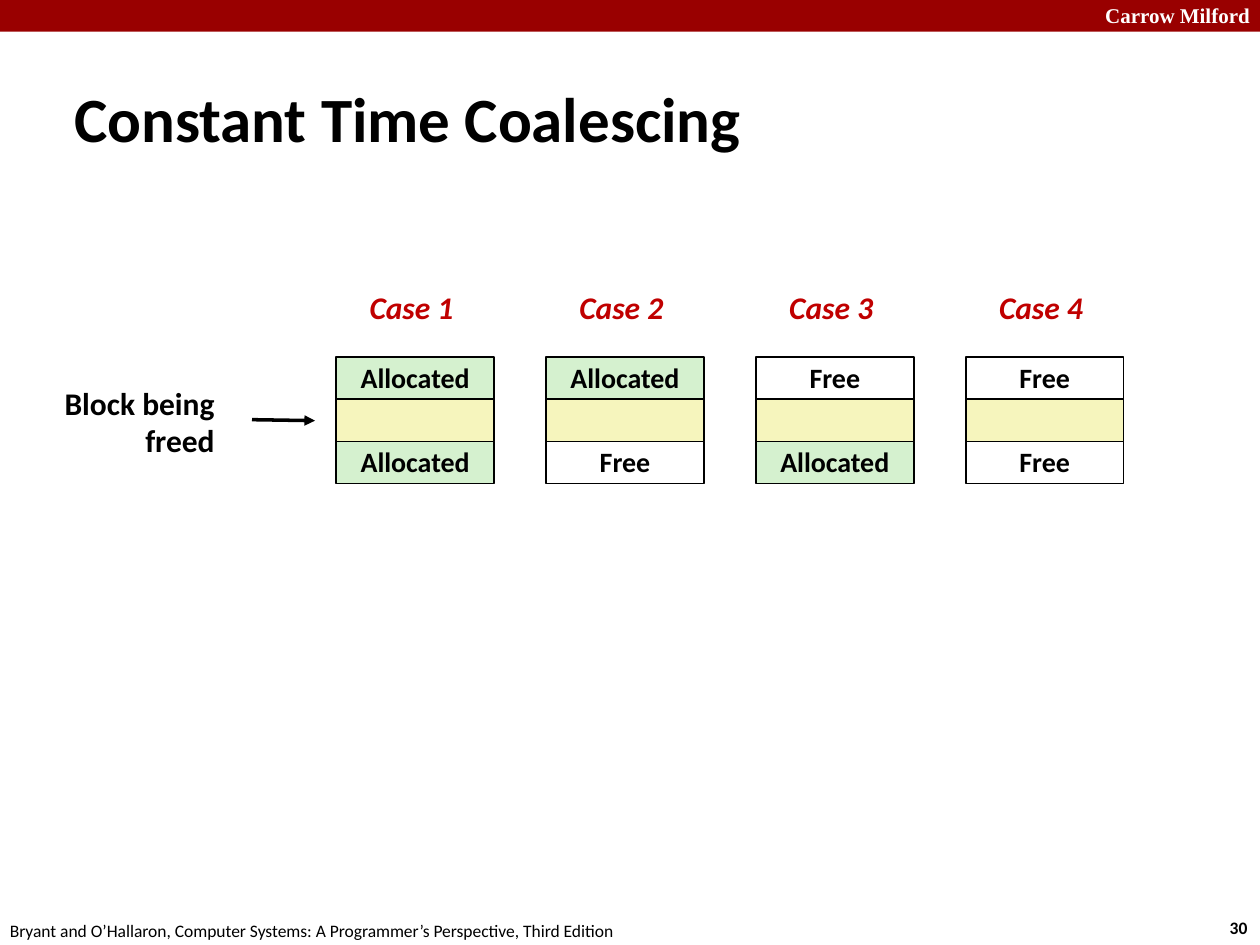
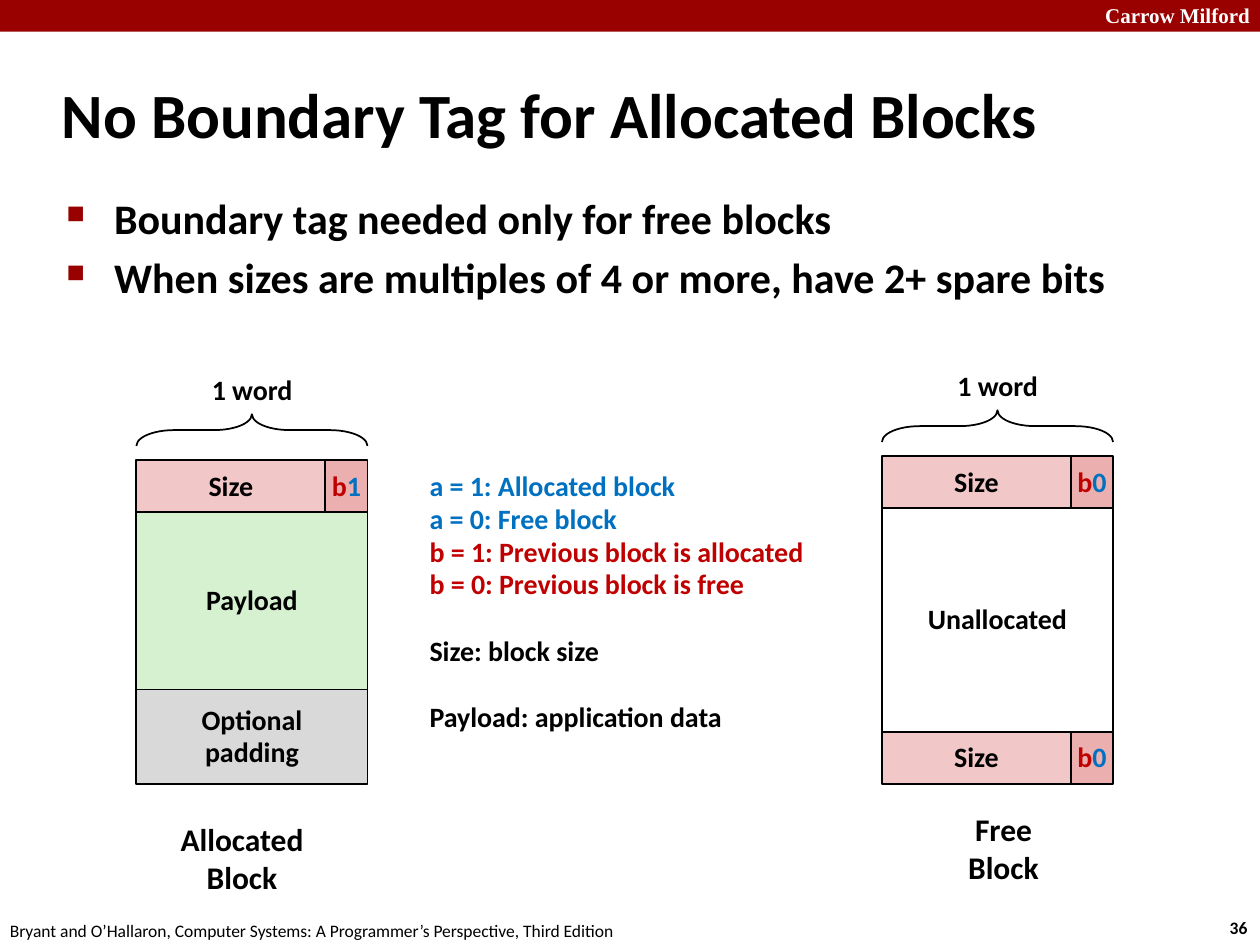
"""Builds two lecture slides on coalescing and boundary tags."""
from lxml.etree import SubElement
from pptx import Presentation
from pptx.dml.color import RGBColor
from pptx.enum.shapes import MSO_CONNECTOR, MSO_SHAPE
from pptx.enum.text import MSO_ANCHOR, MSO_AUTO_SIZE, PP_ALIGN
from pptx.oxml.ns import qn
from pptx.util import Cm, Pt

BLACK = RGBColor(0x00, 0x00, 0x00)
WHITE = RGBColor(0xFF, 0xFF, 0xFF)
CRIMSON = RGBColor(0x99, 0x00, 0x00)
RED = RGBColor(0xC0, 0x00, 0x00)
BLUE = RGBColor(0x00, 0x70, 0xC0)
GREEN = RGBColor(0xD5, 0xF1, 0xCF)
YELLOW = RGBColor(0xF6, 0xF5, 0xBD)
PINK = RGBColor(0xF1, 0xC7, 0xC7)
ROSE = RGBColor(0xEB, 0xAF, 0xAF)
GRAY = RGBColor(0xD9, 0xD9, 0xD9)

SCHOOL = "Carrow Milford"
BOOK = "Bryant and O’Hallaron, Computer Systems: A Programmer’s Perspective, Third Edition"
TIGHT = 0.98
SIZE_WIDTH, TAG_WIDTH, HEADER_HEIGHT = 3.81, 0.85, 1.06
WORD_WIDTH = SIZE_WIDTH + TAG_WIDTH


def write(frame, paragraphs, size=16, color=BLACK, font="Calibri", bold=True,
          italic=False, align=PP_ALIGN.LEFT, spacing=None, gaps=None):
    for index, content in enumerate(paragraphs):
        paragraph = frame.paragraphs[0] if index == 0 else frame.add_paragraph()
        paragraph.alignment = align
        paragraph.line_spacing = spacing
        if gaps and index in gaps:
            paragraph.space_before = Pt(gaps[index])
        runs = [(content, color)] if isinstance(content, str) else content
        for words, run_color in runs:
            run = paragraph.add_run()
            run.text = words
            run.font.name = font
            run.font.size = Pt(size)
            run.font.bold = bold
            run.font.italic = italic
            run.font.color.rgb = run_color


class Lecture:
    def __init__(self):
        self.deck = Presentation()
        self.deck.slide_width, self.deck.slide_height = Cm(25.4), Cm(19.05)
        self.shapes = None

    def slide(self, heading, number, left, top, width, height):
        self.shapes = self.deck.slides.add_slide(self.deck.slide_layouts[5]).shapes
        self.block(0, 0, 25.4, 0.64, CRIMSON, outline=None)
        self.label(21.95, -0.08, 3.5, 0.76, [SCHOOL], wrap=True, size=12, color=WHITE,
                   font="Times New Roman", align=PP_ALIGN.RIGHT)
        self.label(24.54, 18.36, 0.94, 0.69, [str(number)], size=10)
        self.label(-0.05, 18.42, 12.9, 0.69, [BOOK], size=10, bold=False)
        title = self.shapes.title
        title.left, title.top, title.width, title.height = map(Cm, (left, top, width, height))
        title.text_frame.auto_size = MSO_AUTO_SIZE.NONE
        title.text_frame.vertical_anchor = MSO_ANCHOR.MIDDLE
        write(title.text_frame, [heading], size=36)

    def label(self, left, top, width, height, paragraphs, wrap=False, **style):
        box = self.shapes.add_textbox(Cm(left), Cm(top), Cm(width), Cm(height))
        box.text_frame.word_wrap = wrap
        box.text_frame.auto_size = MSO_AUTO_SIZE.SHAPE_TO_FIT_TEXT
        write(box.text_frame, paragraphs, **style)
        return box.text_frame

    def bullets(self, left, top, width, height, points):
        frame = self.label(left, top, width, height, points, wrap=True, size=24,
                           gaps=dict.fromkeys(range(len(points)), 4.8))
        for paragraph in frame.paragraphs:
            properties = paragraph._p.get_or_add_pPr()
            properties.set("marL", str(Cm(0.96)))
            properties.set("indent", str(-Cm(0.96)))
            marker_color = SubElement(properties, qn("a:buClr"))
            SubElement(marker_color, qn("a:srgbClr"), val=str(CRIMSON))
            SubElement(properties, qn("a:buSzPct"), val="60000")
            SubElement(properties, qn("a:buChar"), char="■")

    def outlined(self, kind, left, top, width, height, fill=None, outline=BLACK):
        shape = self.shapes.add_shape(kind, Cm(left), Cm(top), Cm(width), Cm(height))
        shape.shadow.inherit = False
        if fill is None:
            shape.fill.background()
        else:
            shape.fill.solid()
            shape.fill.fore_color.rgb = fill
        if outline is None:
            shape.line.fill.background()
        else:
            shape.line.color.rgb = outline
            shape.line.width = Pt(1)
        return shape

    def block(self, left, top, width, height, fill=None, paragraphs=(), outline=BLACK):
        frame = self.outlined(MSO_SHAPE.RECTANGLE, left, top, width, height,
                              fill, outline).text_frame
        frame.word_wrap = False
        frame.vertical_anchor = MSO_ANCHOR.MIDDLE
        write(frame, paragraphs, align=PP_ALIGN.CENTER, spacing=TIGHT)

    def arrow(self, start_x, start_y, end_x, end_y):
        line = self.shapes.add_connector(MSO_CONNECTOR.STRAIGHT, Cm(start_x), Cm(start_y),
                                         Cm(end_x), Cm(end_y))
        line.line.color.rgb = BLACK
        line.line.width = Pt(2)
        SubElement(line.line._get_or_add_ln(), qn("a:tailEnd"), type="triangle")
        SubElement(line._element.spPr, qn("a:effectLst"))

    def word_brace(self, left, block_top):
        depth = 0.64
        brace = self.outlined(MSO_SHAPE.RIGHT_BRACE, left + (WORD_WIDTH - depth) / 2,
                              block_top - 0.6 - WORD_WIDTH / 2, depth, WORD_WIDTH)
        brace.rotation = 270
        brace.adjustments[0] = 1.188
        self.label(left + 1.27, block_top - 1.85, 2.16, 0.94, ["1 word"], spacing=TIGHT)

    def header(self, left, top, allocated_bit):
        self.block(left, top, SIZE_WIDTH, HEADER_HEIGHT, PINK, ["Size"])
        self.block(left + SIZE_WIDTH, top, TAG_WIDTH, HEADER_HEIGHT, ROSE,
                   [[("b", RED), (allocated_bit, BLUE)]])


def coalescing_slide(lecture):
    lecture.slide("Constant Time Coalescing", 30, 1.24, 1.57, 19.5, 1.6)
    first_left, pitch, top, row = 6.78, 4.23, 7.2, 0.85
    fills = {"Allocated": GREEN, "Free": WHITE}
    cases = [("Allocated", "Allocated"), ("Allocated", "Free"),
             ("Free", "Allocated"), ("Free", "Free")]
    for index, (previous, following) in enumerate(cases):
        left = first_left + index * pitch
        lecture.block(left, top + row, 3.18, row, YELLOW)
        lecture.block(left, top, 3.18, row, fills[previous], [previous])
        lecture.block(left, top + 2 * row, 3.18, row, fills[following], [following])
        lecture.label(left + 0.42, 5.72, 2.21, 1.02, [f"Case {index + 1}"], size=18,
                      color=RED, italic=True, spacing=TIGHT)
    lecture.label(1.02, 7.65, 3.56, 1.78, ["Block being", "freed"], size=18,
                  align=PP_ALIGN.RIGHT, spacing=TIGHT)
    lecture.arrow(5.08, 8.46, 6.35, 8.48)


def boundary_tag_slide(lecture):
    lecture.slide("No Boundary Tag for Allocated Blocks", 36, 0.99, 1.22, 21.08, 2.11)
    lecture.bullets(1.09, 3.76, 23.44, 2.49, [
        "Boundary tag needed only for free blocks",
        "When sizes are multiples of 4 or more, have 2+ spare bits"])

    allocated_left, allocated_top = 2.75, 9.27
    lecture.word_brace(allocated_left, allocated_top)
    lecture.header(allocated_left, allocated_top, "1")
    payload_top = allocated_top + HEADER_HEIGHT
    lecture.block(allocated_left, payload_top, WORD_WIDTH, 3.57, GREEN, ["Payload"])
    lecture.block(allocated_left, payload_top + 3.57, WORD_WIDTH, 1.9, GRAY,
                  ["Optional", "padding"])

    free_left, free_top, unallocated_height = 17.78, 9.19, 4.5
    lecture.word_brace(free_left, free_top)
    lecture.header(free_left, free_top, "0")
    unallocated_top = free_top + HEADER_HEIGHT
    lecture.block(free_left, unallocated_top, WORD_WIDTH, unallocated_height,
                  paragraphs=["Unallocated"])
    lecture.header(free_left, unallocated_top + unallocated_height, "0")

    lecture.label(8.41, 9.35, 8.15, 5.61, [
        [("a = 1: Allocated block", BLUE)],
        [("a = 0: Free block", BLUE)],
        [("b = 1: Previous block is allocated", RED)],
        [("b = 0: Previous block is free", RED)],
        "Size: block size",
        "Payload: application data"], spacing=TIGHT, gaps={4: 19, 5: 19})
    for name, left, top, width in [("Allocated", 3.38, 16.41, 3.0), ("Free", 19.25, 16.21, 1.96)]:
        lecture.label(left, top, width, 1.8, [name, "Block"], size=18, align=PP_ALIGN.CENTER)


def main():
    lecture = Lecture()
    coalescing_slide(lecture)
    boundary_tag_slide(lecture)
    lecture.deck.save("out.pptx")


if __name__ == "__main__":
    main()
